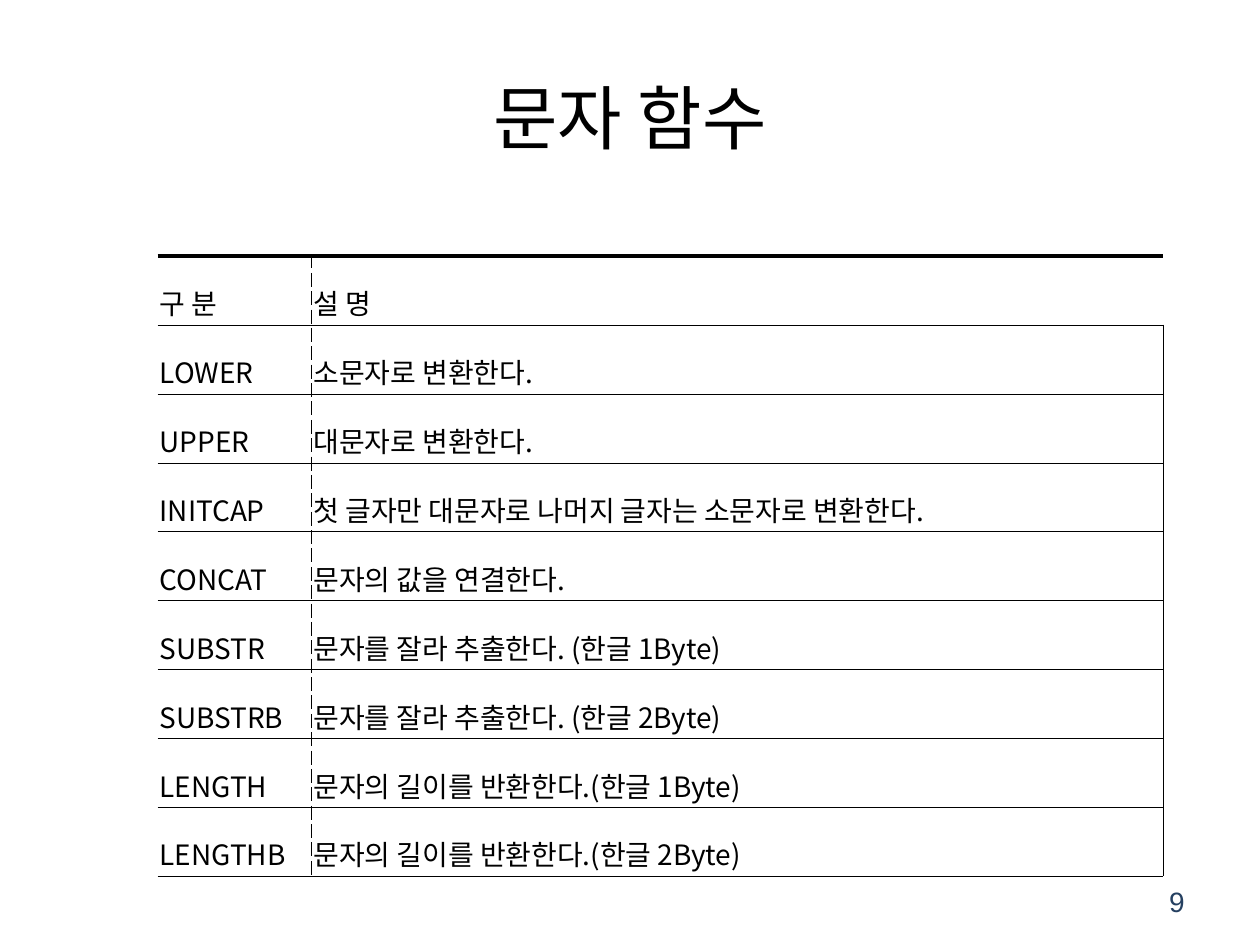
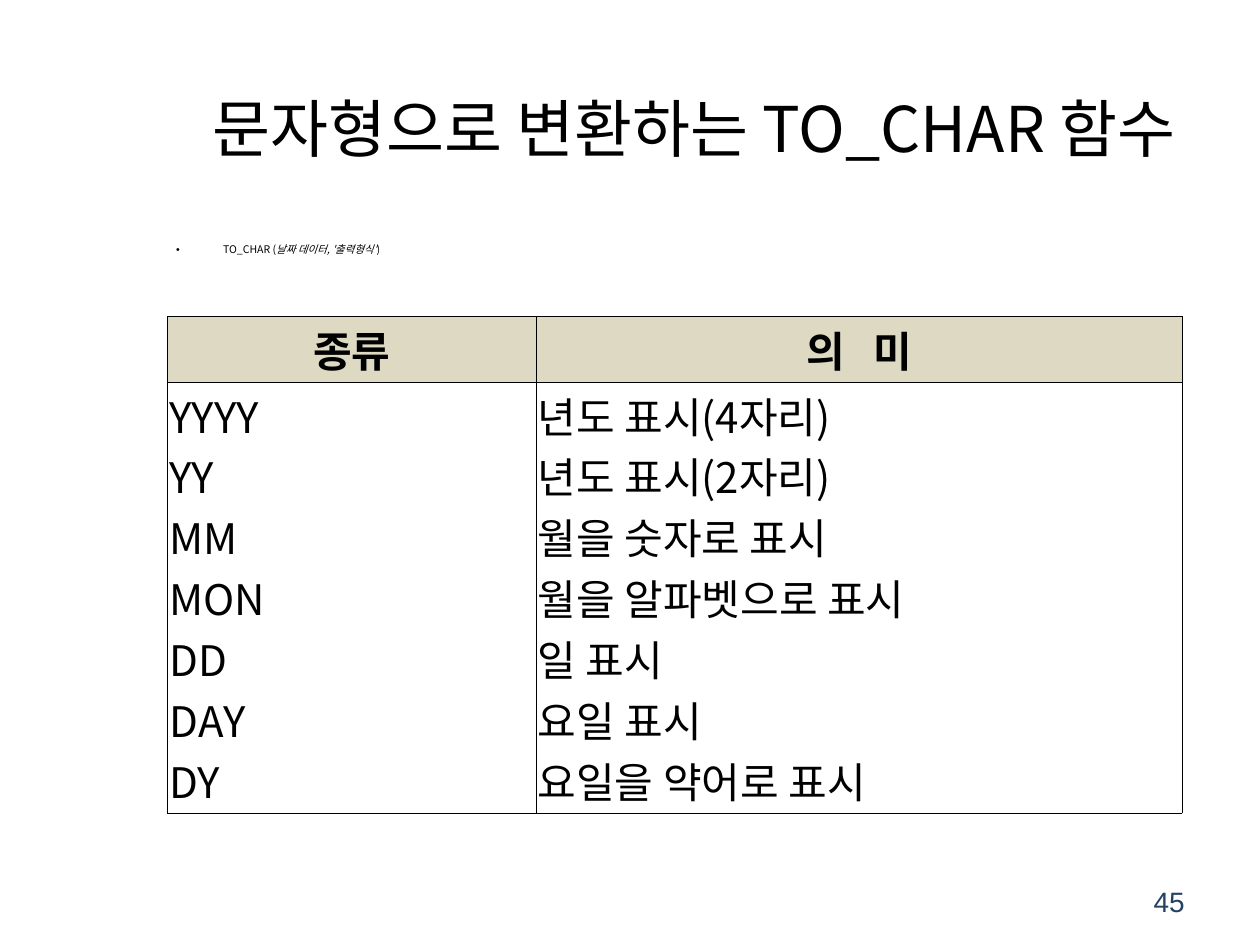
from dataclasses import dataclass

import pptx
import pptx.dml.color
import pptx.enum.text
import pptx.oxml.ns
import pptx.presentation
import pptx.slide
import pptx.table
import pptx.text.text
import pptx.util
from lxml import etree

Cm = pptx.util.Cm
Pt = pptx.util.Pt
qn = pptx.oxml.ns.qn
RGBColor = pptx.dml.color.RGBColor
Align = pptx.enum.text.PP_ALIGN
Anchor = pptx.enum.text.MSO_ANCHOR

BLACK = RGBColor(0x00, 0x00, 0x00)
WHITE = RGBColor(0xFF, 0xFF, 0xFF)
NAVY = RGBColor(0x25, 0x40, 0x61)
BEIGE = RGBColor(0xDD, 0xD9, 0xC3)
KOREAN = "Noto Sans CJK KR"
CELL_INSET = Cm(0.04)


@dataclass(frozen=True)
class Box:
    left: float
    top: float
    width: float
    height: float


@dataclass(frozen=True)
class Line:
    width: float
    dash: str = "solid"


@dataclass(frozen=True)
class Borders:
    left: Line | None = None
    right: Line | None = None
    top: Line | None = None
    bottom: Line | None = None


THIN = Line(0.25)
HEAVY = Line(2)
DASHED = Line(0.56, "dash")
GRID = Borders(THIN, THIN, THIN, THIN)

PAGE_NUMBER_BOX = Box(18.21, 17.65, 5.92, 1.02)

CHAR_FUNCTIONS = [
    ("LOWER", "소문자로 변환한다."),
    ("UPPER", "대문자로 변환한다."),
    ("INITCAP", "첫 글자만 대문자로 나머지 글자는 소문자로 변환한다."),
    ("CONCAT", "문자의 값을 연결한다."),
    ("SUBSTR", "문자를 잘라 추출한다. (한글 1Byte)"),
    ("SUBSTRB", "문자를 잘라 추출한다. (한글 2Byte)"),
    ("LENGTH", "문자의 길이를 반환한다.(한글 1Byte)"),
    ("LENGTHB", "문자의 길이를 반환한다.(한글 2Byte)"),
]

DATE_FORMATS = [
    ("YYYY", "년도 표시(4자리)"),
    ("YY", "년도 표시(2자리)"),
    ("MM", "월을 숫자로 표시"),
    ("MON", "월을 알파벳으로 표시"),
    ("DD", "일 표시"),
    ("DAY", "요일 표시"),
    ("DY", "요일을 약어로 표시"),
]


def add_run(p: pptx.text.text._Paragraph, text: str, *, size: float,
            font: str = KOREAN, color: RGBColor = BLACK, bold: bool = False,
            italic: bool = False, spacing: float = 0) -> None:
    """Append a formatted run; spacing is extra letter spacing in points."""
    r = p.add_run()
    r.text = text
    r.font.size = Pt(size)
    r.font.name = font
    r.font.bold = bold
    r.font.italic = italic
    r.font.color.rgb = color
    rPr = r.font._element
    etree.SubElement(rPr, qn("a:ea"), typeface=font)
    if spacing:
        rPr.set("spc", str(round(spacing * 100)))


def add_text_box(slide: pptx.slide.Slide, box: Box, align: Align = Align.LEFT,
                 anchor: Anchor = Anchor.MIDDLE) -> pptx.text.text._Paragraph:
    """Add a wrapping text box and return its first paragraph."""
    sp = slide.shapes.add_textbox(Cm(box.left), Cm(box.top), Cm(box.width), Cm(box.height))
    tf = sp.text_frame
    tf.word_wrap = True
    tf.vertical_anchor = anchor
    p = tf.paragraphs[0]
    p.alignment = align
    return p


def add_base_slide(prs: pptx.presentation.Presentation, title: str, title_box: Box,
                   title_size: float, number: int) -> pptx.slide.Slide:
    """Add a blank slide with its title and page number."""
    slide = prs.slides.add_slide(prs.slide_layouts[6])
    add_run(add_text_box(slide, title_box, Align.CENTER), title, size=title_size)
    add_run(add_text_box(slide, PAGE_NUMBER_BOX, Align.RIGHT), str(number),
            size=16, font="Arial", color=NAVY)
    return slide


def add_plain_table(slide: pptx.slide.Slide, left: float, top: float,
                    widths: list[float], heights: list[float]) -> pptx.table.Table:
    frame = slide.shapes.add_table(len(heights), len(widths), Cm(left), Cm(top),
                                   Cm(sum(widths)), Cm(sum(heights)))
    table = frame.table
    table.first_row = table.horz_banding = False
    for column, width in zip(table.columns, widths):
        column.width = Cm(width)
    for row, height in zip(table.rows, heights):
        row.height = Cm(height)
    return table


def style_cell(cell: pptx.table._Cell, borders: Borders, fill: RGBColor = WHITE) -> None:
    cell.margin_left = cell.margin_right = CELL_INSET
    cell.margin_top = cell.margin_bottom = CELL_INSET
    cell.vertical_anchor = Anchor.MIDDLE
    tcPr = cell._tc.get_or_add_tcPr()
    sides = {"a:lnL": borders.left, "a:lnR": borders.right,
             "a:lnT": borders.top, "a:lnB": borders.bottom}
    for tag, line in sides.items():
        ln = etree.SubElement(tcPr, qn(tag))
        if line is None:
            etree.SubElement(ln, qn("a:noFill"))
            continue
        ln.set("w", str(int(Pt(line.width))))
        solid = etree.SubElement(ln, qn("a:solidFill"))
        etree.SubElement(solid, qn("a:srgbClr"), val=str(BLACK))
        etree.SubElement(ln, qn("a:prstDash"), val=line.dash)
    cell.fill.solid()
    cell.fill.fore_color.rgb = fill


def write_lines(cell: pptx.table._Cell, lines: list[str], size: float,
                line_spacing: float = 1.0) -> None:
    tf = cell.text_frame
    for i, line in enumerate(lines):
        p = tf.add_paragraph() if i else tf.paragraphs[0]
        p.alignment = Align.JUSTIFY
        p.line_spacing = line_spacing
        add_run(p, line, size=size)


def build_char_functions(prs: pptx.presentation.Presentation) -> None:
    slide = add_base_slide(prs, "문자 함수", Box(1.27, 0.76, 22.86, 3.18), 40, 9)
    rows = [("구 분", "설 명")] + CHAR_FUNCTIONS
    table = add_plain_table(slide, 3.18, 5.16, [3.1, 16.84, 0.33], [1.39] * len(rows))
    table.cell(0, 1).merge(table.cell(0, 2))
    for i, texts in enumerate(rows):
        top = THIN if i else HEAVY
        edge = THIN if i else None
        row_borders = [Borders(None, DASHED, top, THIN),
                       Borders(DASHED, None, top, THIN),
                       Borders(None, edge, top, THIN)]
        for j, borders in enumerate(row_borders):
            style_cell(table.cell(i, j), borders)
        for j, text in enumerate(texts):
            write_lines(table.cell(i, j), [text], 16, 1.6)


def add_syntax_bullet(slide: pptx.slide.Slide) -> None:
    p = add_text_box(slide, Box(3.3, 4.78, 21.51, 0.99), anchor=Anchor.TOP)
    p.space_before = Pt(1.2)
    pPr = p._p.get_or_add_pPr()
    pPr.set("marL", str(int(Cm(0.95))))
    pPr.set("indent", str(int(Cm(-0.95))))
    etree.SubElement(pPr, qn("a:buFont"), typeface="Arial")
    etree.SubElement(pPr, qn("a:buChar"), char="•")
    add_run(p, "TO_CHAR (", size=6)
    add_run(p, "날짜 데이터, '출력형식'", size=6, italic=True)
    add_run(p, ")", size=6)


def build_to_char(prs: pptx.presentation.Presentation) -> None:
    slide = add_base_slide(prs, "문자형으로 변환하는 TO_CHAR 함수",
                           Box(3.51, 0.97, 20.96, 3.2), 36, 45)
    add_syntax_bullet(slide)
    table = add_plain_table(slide, 3.38, 6.38, [7.42, 13.03], [1.32, 8.69])
    for j, lines in enumerate(zip(*DATE_FORMATS)):
        style_cell(table.cell(0, j), GRID, BEIGE)
        style_cell(table.cell(1, j), GRID)
        write_lines(table.cell(1, j), list(lines), 24)
    kind, meaning = (table.cell(0, j).text_frame.paragraphs[0] for j in range(2))
    kind.alignment = meaning.alignment = Align.CENTER
    add_run(kind, "종류", size=24, bold=True)
    add_run(meaning, "의", size=24, bold=True)
    add_run(meaning, " ", size=24, bold=True, spacing=10.8)
    add_run(meaning, "미", size=24, bold=True)


def main() -> None:
    prs = pptx.Presentation()
    prs.slide_width, prs.slide_height = Cm(25.4), Cm(19.05)
    build_char_functions(prs)
    build_to_char(prs)
    prs.save("out.pptx")


if __name__ == "__main__":
    main()
